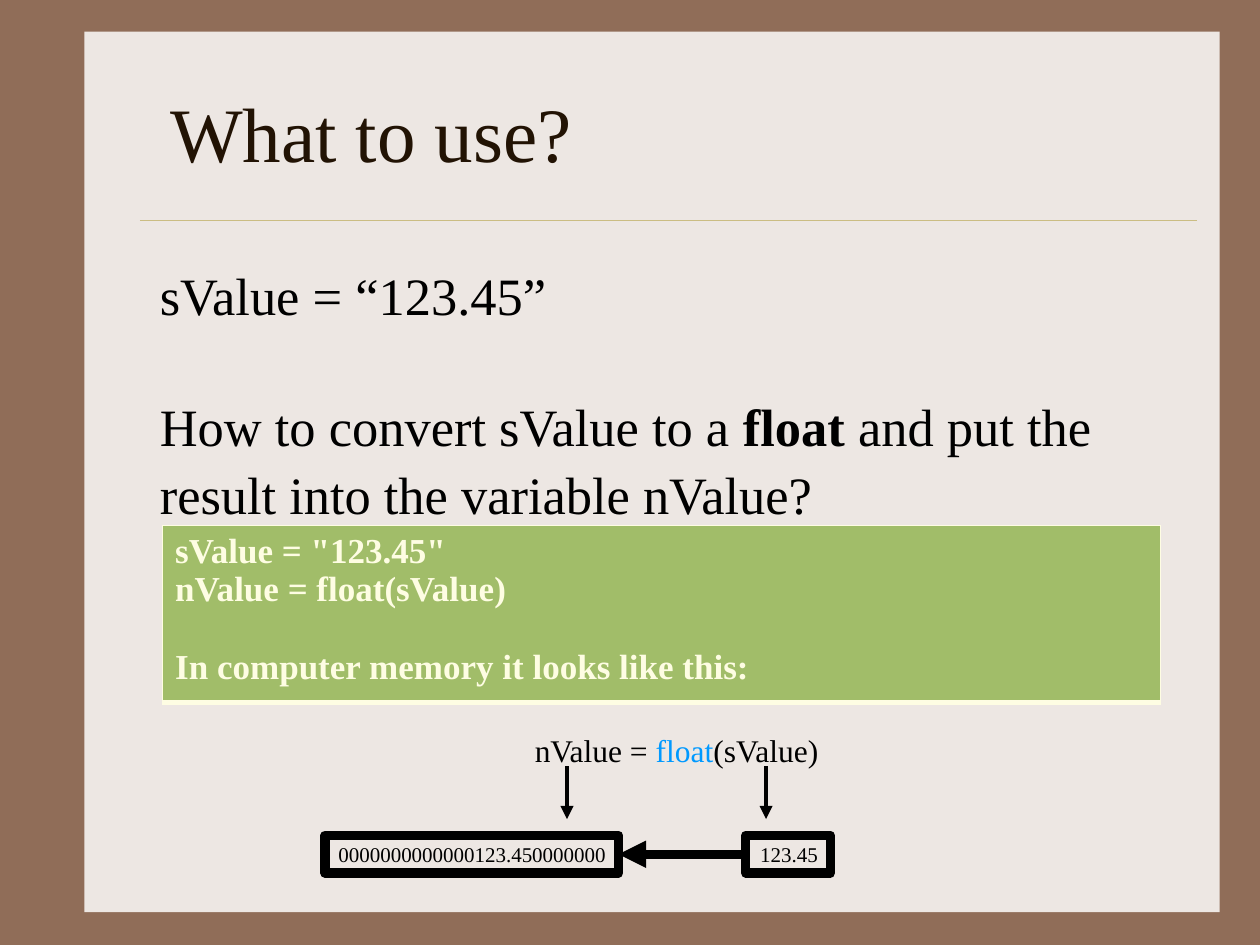
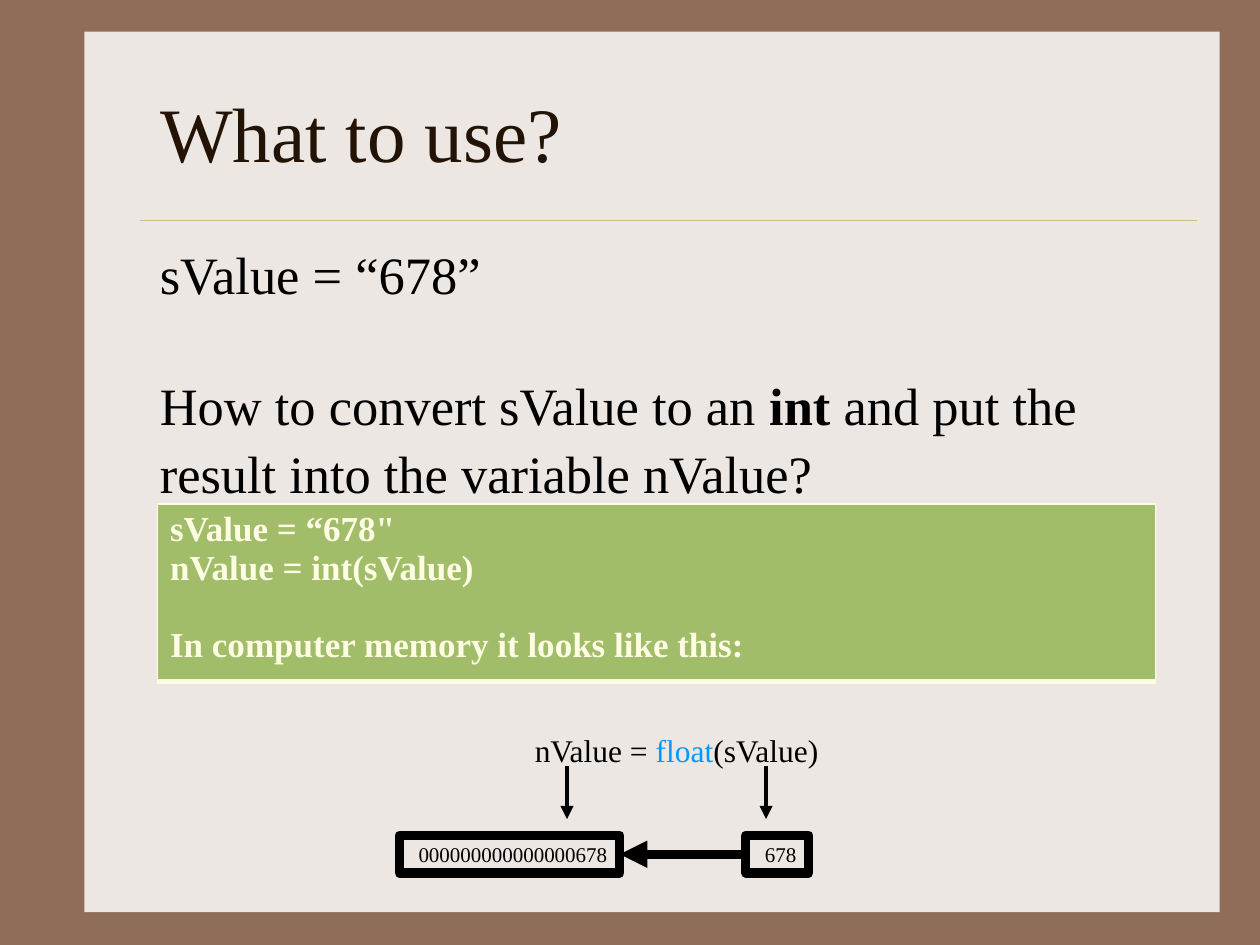
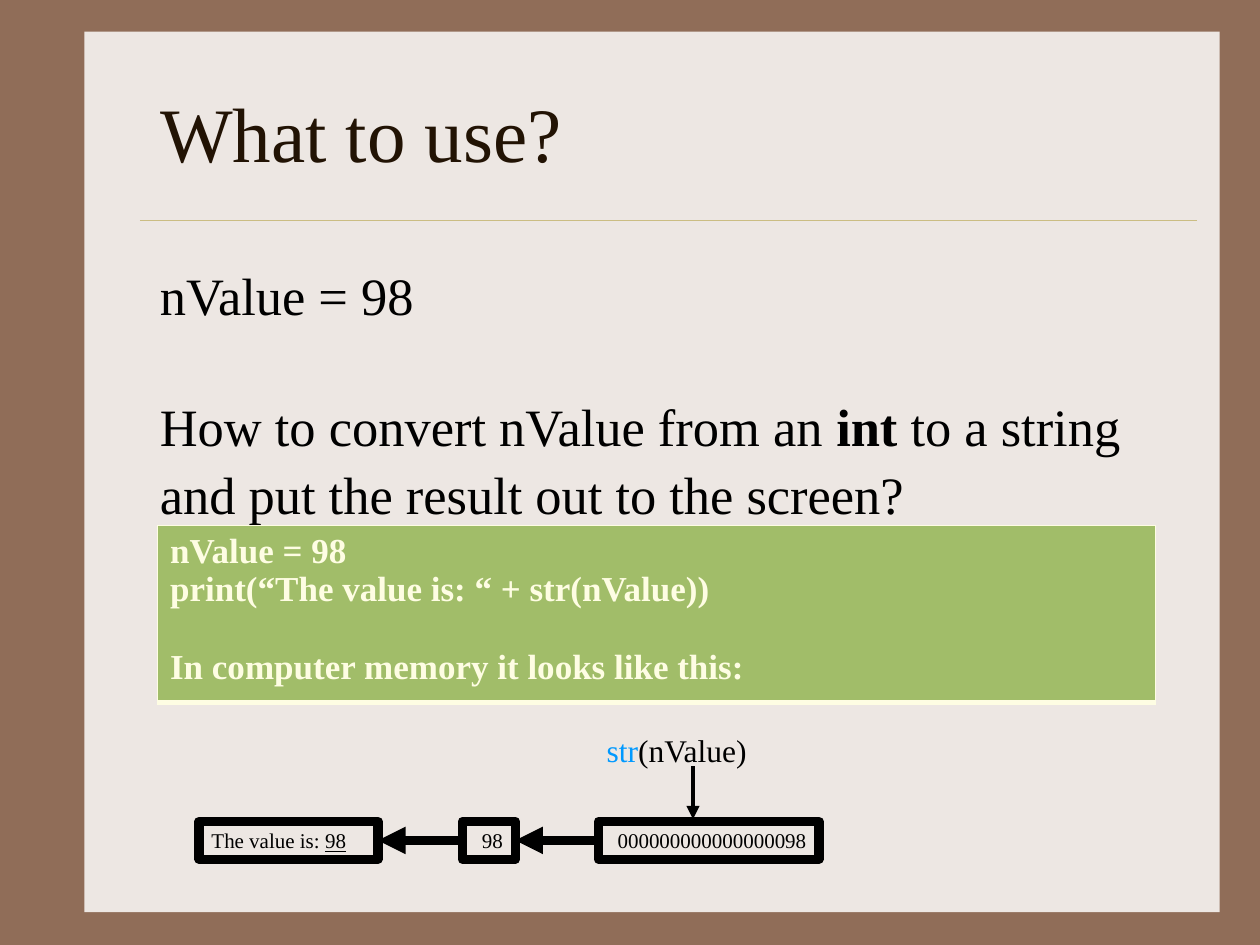
from pptx import Presentation
from pptx import util as u
from pptx.dml.color import RGBColor
from pptx.enum import shapes, text
from pptx.oxml import parse_xml
from pptx.oxml.ns import nsdecls, qn
from lxml import etree

FONT = "Times New Roman"
BROWN, PANEL, GOLD, TITLE = "906D58", "EDE7E3", "CBBD83", "221304"
GREEN, CREAM, BLACK, BLUE = "A1BD69", "FEFDE3", "000000", "0099FF"
LEFT, RIGHT, CENTER = text.PP_ALIGN.LEFT, text.PP_ALIGN.RIGHT, text.PP_ALIGN.CENTER
BOLD, BLUE_TEXT, UNDERLINE = {"bold": True}, {"color": BLUE}, {"underline": True}

HEADING = "What to use?"
MEMORY_NOTE = "In computer memory it looks like this:"
FLOAT_CALL = ["nValue = ", ("float", BLUE_TEXT), "(sValue)"]

# Memory boxes run from left to right: left, width, spans, alignment.
SLIDES = [
    {"title_left": 1.25, "body_top": 2, "table_left": 1.29,
     "given": "sValue = “123.45”",
     "question": ["How to convert sValue to a ", ("float", BOLD),
                  " and put the result into the variable nValue?"],
     "code": ['sValue = "123.45"', "nValue = float(sValue)"],
     "call": FLOAT_CALL, "pointers": [4.5, 6.08], "box_top": 6.63,
     "boxes": [(2.58, 2.33, ["0000000000000123.450000000"], RIGHT),
               (5.92, 0.67, ["123.45"], RIGHT)]},
    {"title_left": 1.17, "body_top": 1.83, "table_left": 1.25,
     "given": "sValue = “678”",
     "question": ["How to convert sValue to an ", ("int", BOLD),
                  " and put the result into the variable nValue?"],
     "code": ['sValue = “678"', "nValue = int(sValue)"],
     "call": FLOAT_CALL, "pointers": [4.5, 6.08], "box_top": 6.63,
     "boxes": [(3.17, 1.75, ["000000000000000678"], RIGHT),
               (5.92, 0.5, ["678"], RIGHT)]},
    {"title_left": 1.17, "body_top": 2, "table_left": 1.25,
     "given": "nValue = 98",
     "question": ["How to convert nValue from an ", ("int", BOLD),
                  " to a string and put the result out to the screen?"],
     "code": ["nValue = 98", "print(“The value is: “ + str(nValue))"],
     "call": [("str", BLUE_TEXT), "(nValue)"], "pointers": [5.5], "box_top": 6.52,
     "boxes": [(1.58, 1.42, ["The value is: ", ("98", UNDERLINE)], LEFT),
               (3.67, 0.42, ["98"], RIGHT),
               (4.75, 1.75, ["000000000000000098"], RIGHT)]},
]


def rgb(color):
    return RGBColor.from_string(color)


def inches(*lengths):
    return [u.Inches(length) for length in lengths]


def write(frame, paragraphs, align=LEFT, spacing=1.0, gap_before_last=0, **base):
    """Fill a text frame; each paragraph is a list of strings or (string, format) pairs."""
    frame.word_wrap = True
    for index, spans in enumerate(paragraphs):
        para = frame.paragraphs[0] if index == 0 else frame.add_paragraph()
        para.alignment, para.line_spacing = align, spacing
        para.space_before = u.Pt(0)
        for item in spans:
            words, extra = (item, {}) if isinstance(item, str) else item
            look = {"color": BLACK, "bold": False, "underline": False, **base, **extra}
            span = para.add_run()
            span.text = words
            span.font.name, span.font.size = FONT, u.Pt(look["size"])
            span.font.bold, span.font.underline = look["bold"], look["underline"]
            span.font.color.rgb = rgb(look["color"])
    if gap_before_last:
        para.space_before = u.Pt(gap_before_last)


def add_line(page, start, end, color=BLACK, width=2.5, arrow=True):
    line = page.shapes.add_connector(shapes.MSO_CONNECTOR.STRAIGHT, *inches(*start, *end))
    line.line.color.rgb = rgb(color)
    line.line.width = u.Pt(width)
    if arrow:
        etree.SubElement(line.line._get_or_add_ln(), qn("a:tailEnd"), type="triangle")
    etree.SubElement(line.element.spPr, qn("a:effectLst"))
    return line


def add_rectangle(page, *place):
    box = page.shapes.add_shape(shapes.MSO_SHAPE.RECTANGLE, *inches(*place))
    box.shadow.inherit = False
    return box


def decorate_layout(page):
    """Give the page's layout the panel and the rule under the title."""
    panel = add_rectangle(page, 0.67, 0.25, 9.01, 6.99)
    panel.fill.solid()
    panel.fill.fore_color.rgb = rgb(PANEL)
    panel.line.fill.background()
    rule = add_line(page, (1.11, 1.75), (9.5, 1.75), GOLD, 0.25, arrow=False)
    tree = page.slide_layout.shapes.element
    for offset, part in enumerate((panel, rule)):
        part.element.xpath(".//p:cNvPr")[0].set("id", str(100 + offset))
        tree.insert(2 + offset, part.element)


def add_code(page, left, top, code):
    frame = page.shapes.add_table(1, 1, *inches(left, top, 7.92, 1.33))
    table = frame.table
    table.first_row = table.horz_banding = False
    cell = table.cell(0, 0)
    write(cell.text_frame, [[line] for line in code + [MEMORY_NOTE]],
          gap_before_last=22, size=20, color=CREAM, bold=True)
    properties = cell._tc.get_or_add_tcPr()
    for side, points in (("L", 1), ("R", 1), ("T", 1), ("B", 3)):
        properties.append(parse_xml(
            f'<a:ln{side} {nsdecls("a")} w="{u.Pt(points)}"><a:solidFill>'
            f'<a:srgbClr val="{CREAM}"/></a:solidFill></a:ln{side}>'))
    cell.fill.solid()
    cell.fill.fore_color.rgb = rgb(GREEN)


def add_memory(page, content):
    """Draw the call, its pointers and the chain of memory boxes below it."""
    call = page.shapes.add_textbox(*inches(2.33, 5.75, 6.08, 0.4))
    write(call.text_frame, [content["call"]], align=CENTER, size=18)
    for x in content["pointers"]:
        add_line(page, (x, 6.08), (x, 6.5))
    boxes = []
    for left, width, spans, align in content["boxes"]:
        box = add_rectangle(page, left, content["box_top"], width, 0.3)
        box.fill.background()
        box.line.color.rgb = rgb(BLACK)
        box.line.width = u.Pt(5.25)
        write(box.text_frame, [spans], align=align, size=12)
        boxes.append(box)
    for target, source in zip(boxes, boxes[1:]):
        arrow = add_line(page, (0, 0), (1, 1), width=5.25)
        arrow.begin_connect(source, 1)
        arrow.end_connect(target, 3)


def add_content(page, content):
    title = page.shapes.title
    left = content["title_left"]
    title.left, title.top, title.width, title.height = inches(left, 0.42, 9.17 - left, 1.25)
    title.text_frame.vertical_anchor = text.MSO_ANCHOR.MIDDLE
    write(title.text_frame, [[HEADING]], size=44, color=TITLE)
    top = content["body_top"]
    body = page.shapes.add_textbox(*inches(1.17, top, 8.17, 2.12))
    write(body.text_frame, [[content["given"]], content["question"]],
          spacing=1.08, gap_before_last=36, size=30)
    add_code(page, content["table_left"], top + 2.17, content["code"])
    add_memory(page, content)


def main():
    deck = Presentation()
    deck.slide_width, deck.slide_height = inches(10, 7.5)
    background = deck.slide_master.background.fill
    background.solid()
    background.fore_color.rgb = rgb(BROWN)
    layout = deck.slide_layouts[5]
    pages = [deck.slides.add_slide(layout) for _ in SLIDES]
    decorate_layout(pages[0])
    for page, content in zip(pages, SLIDES):
        add_content(page, content)
    deck.save("out.pptx")


if __name__ == "__main__":
    main()
